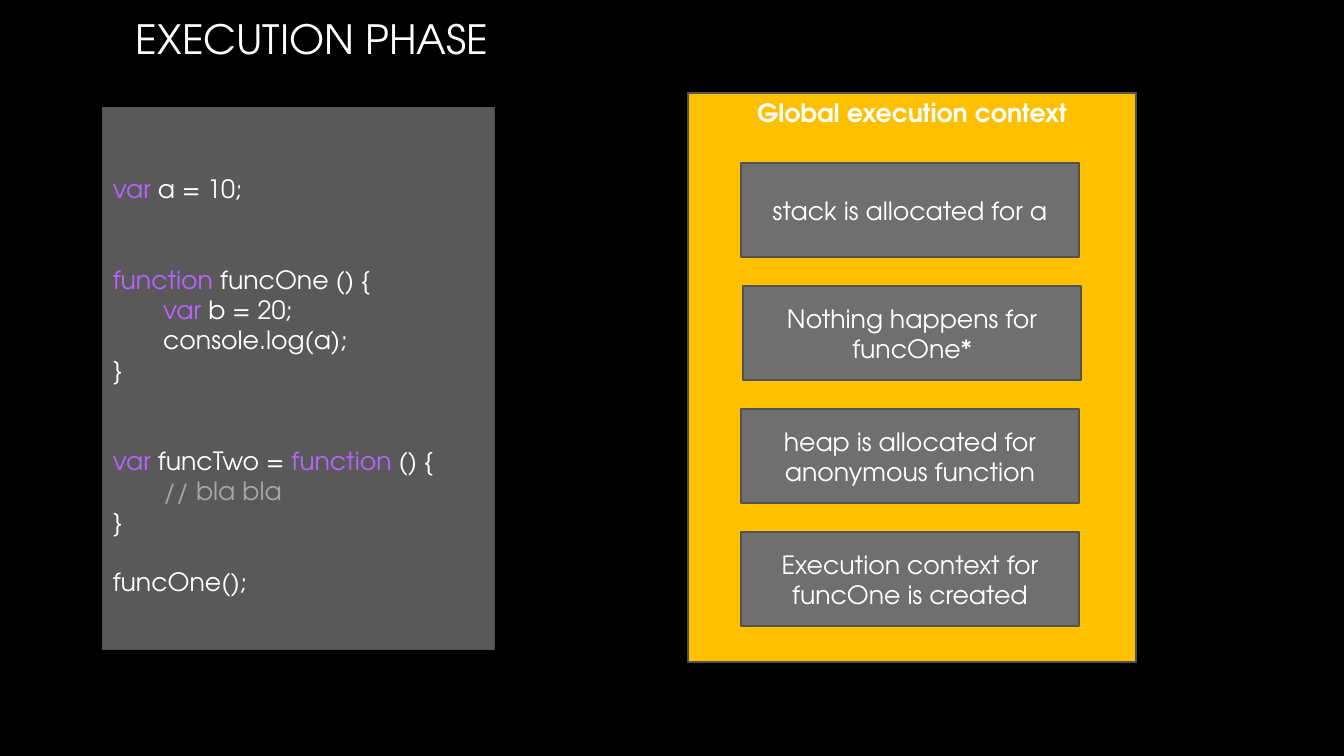
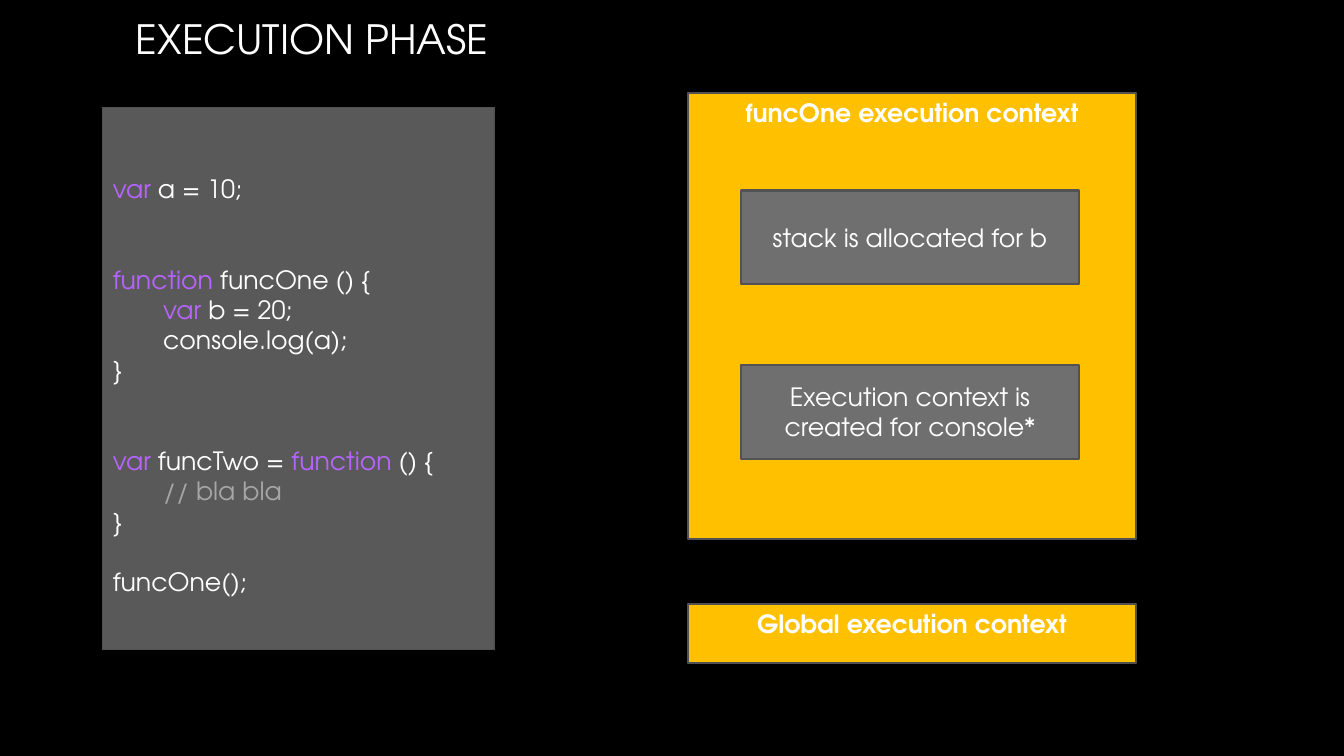
import pptx
import pptx.dml.color
import pptx.enum.shapes
import pptx.enum.text
import pptx.util

Inches, Pt = pptx.util.Inches, pptx.util.Pt
ALIGN, ANCHOR = pptx.enum.text.PP_ALIGN, pptx.enum.text.MSO_ANCHOR

THEME = {
    "font": "TeX Gyre Adventor", "title_size": 28.8, "body_size": 18,
    "background": "000000", "text": "FFFFFF", "keyword": "B764FF",
    "comment": "A6A6A6", "code": "595959", "context": "FFC000",
    "step": "6F6F6F", "outline": "525252",
}
TITLE = "EXECUTION PHASE"
BLANK_LINE = 21.6  # height of one empty code line, in points

# Code lines: blank lines above, indented, runs of (text, colour)
CODE = [
    (0, False, [("var", "keyword"), (" a = 10;", "text")]),
    (2, False, [("function", "keyword"), (" funcOne () {", "text")]),
    (0, True, [("var", "keyword"), (" b = 20;", "text")]),
    (0, True, [("console.log(a);", "text")]),
    (0, False, [("}", "text")]),
    (2, False, [("var", "keyword"), (" funcTwo = ", "text"),
                ("function", "keyword"), (" () {", "text")]),
    (0, True, [("// bla bla", "comment")]),
    (0, False, [("}", "text")]),
    (1, False, [("funcOne();", "text")]),
]

# Per slide: contexts (name, top, height), first step top, step pitch,
# and steps (text, left)
SLIDES = [
    ([("Global execution context", 0.92, 5.65)], 1.62, 1.22,
     [("stack is allocated for a", 7.35),
      ("Nothing happens for funcOne*", 7.37),
      ("heap is allocated for anonymous function", 7.35),
      ("Execution context for funcOne is created", 7.35)]),
    ([("funcOne execution context", 0.92, 4.43),
      ("Global execution context", 5.99, 0.59)], 1.89, 1.73,
     [("stack is allocated for b", 7.35),
      ("Execution context is created for console*", 7.35)]),
]


def add_box(s, left, top, width, height, fill, line_width, anchor):
    """Add an outlined rectangle and return its text frame."""
    sp = s.shapes.add_shape(pptx.enum.shapes.MSO_SHAPE.RECTANGLE,
                            Inches(left), Inches(top), Inches(width), Inches(height))
    sp.shadow.inherit = False
    sp.fill.solid()
    sp.fill.fore_color.rgb = pptx.dml.color.RGBColor.from_string(THEME[fill])
    sp.line.color.rgb = pptx.dml.color.RGBColor.from_string(THEME["outline"])
    sp.line.width = Pt(line_width)
    tf = sp.text_frame
    tf.word_wrap = True
    tf.vertical_anchor = anchor
    return tf


def write(p, runs, align, size="body_size", bold=False):
    """Fill a paragraph with (text, colour) runs."""
    p.alignment = align
    style = {"name": THEME["font"], "size": Pt(THEME[size]), "bold": bold}
    for text, color in runs:
        r = p.add_run()
        r.text = text
        for name, value in style.items():
            setattr(r.font, name, value)
        r.font.color.rgb = pptx.dml.color.RGBColor.from_string(THEME[color])


prs = pptx.Presentation()
prs.slide_width, prs.slide_height = Inches(13.33), Inches(7.5)

for contexts, first_top, pitch, steps in SLIDES:
    s = prs.slides.add_slide(prs.slide_layouts[6])
    s.background.fill.solid()
    s.background.fill.fore_color.rgb = pptx.dml.color.RGBColor.from_string(
        THEME["background"])

    # Title
    tf = s.shapes.add_textbox(Inches(1.25), Inches(0.09),
                              Inches(10.83), Inches(0.59)).text_frame
    tf.word_wrap = True
    tf.vertical_anchor = ANCHOR.MIDDLE
    write(tf.paragraphs[0], [(TITLE, "text")], ALIGN.LEFT, size="title_size")

    # Code panel
    tf = add_box(s, 1.02, 1.07, 3.88, 5.37, "code", 0.75, ANCHOR.TOP)
    tf.margin_top = Inches(0.65)
    for i, (blanks, indented, runs) in enumerate(CODE):
        p = tf.add_paragraph() if i else tf.paragraphs[0]
        p.space_before = Pt(blanks * BLANK_LINE)
        if indented:
            p._p.get_or_add_pPr().set("marL", str(Inches(0.5)))
        write(p, runs, ALIGN.LEFT)

    # Execution contexts
    for name, top, height in contexts:
        tf = add_box(s, 6.82, top, 4.45, height, "context", 1.5, ANCHOR.TOP)
        write(tf.paragraphs[0], [(name, "text")], ALIGN.CENTER, bold=True)

    # Steps inside the running context
    for i, (text, left) in enumerate(steps):
        tf = add_box(s, left, first_top + i * pitch, 3.35, 0.93,
                     "step", 1.5, ANCHOR.MIDDLE)
        write(tf.paragraphs[0], [(text, "text")], ALIGN.CENTER)

prs.save("out.pptx")
